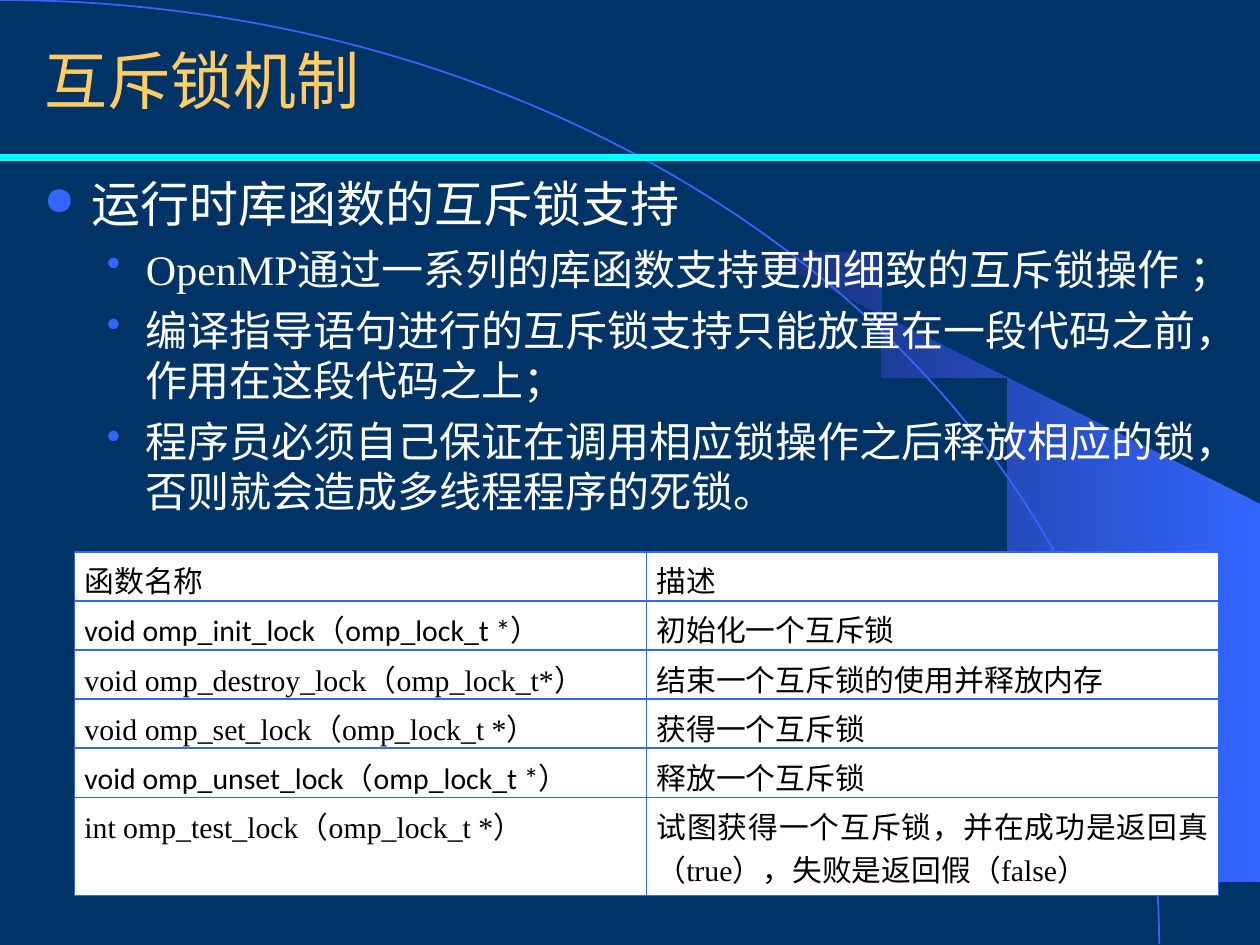
from dataclasses import dataclass
from math import acos, cos, sin

from lxml import etree
from pptx import Presentation
from pptx.dml.color import RGBColor
from pptx.enum.lang import MSO_LANGUAGE_ID
from pptx.enum.shapes import MSO_CONNECTOR, MSO_SHAPE
from pptx.enum.text import MSO_ANCHOR, PP_ALIGN
from pptx.oxml.ns import qn
from pptx.util import Inches, Pt

CHINESE = MSO_LANGUAGE_ID.SIMPLIFIED_CHINESE
STRAIGHT = MSO_CONNECTOR.STRAIGHT
ARC = MSO_SHAPE.ARC
MIDDLE, LEFT, JUSTIFY = MSO_ANCHOR.MIDDLE, PP_ALIGN.LEFT, PP_ALIGN.JUSTIFY

WIDTH, HEIGHT = 10, 7.5
ARC_WIDTH, ARC_HEIGHT = 9.2, 7.49
RIBBON_START, RIBBON_RIGHT, RIBBON_TOP = 5.89, 9.99, 4.23
RIBBON_STEPS = 24
ROW, COLUMN = 0.39, 4.54
COLORS = {"background": "003366", "blue": "3366FF", "deep": "172F75",
          "cyan": "00FFFF", "gold": "FFCC66", "white": "FFFFFF", "black": "000000"}
SERIF, SANS = "Times New Roman", "Calibri"


@dataclass
class Level:
    size: int
    indent: float
    hanging: float
    before: int
    bullet: str
    bullet_percent: int


@dataclass
class Function:
    result: str
    name: str
    argument: str
    description: str
    font: str = SERIF


TOPIC = Level(28, 0.38, 0.38, 7, "●", 80)
DETAIL = Level(24, 0.81, 0.31, 6, "•", 95)
POINTS = [
    (TOPIC, "运行时库函数的互斥锁支持"),
    (DETAIL, "OpenMP通过一系列的库函数支持更加细致的互斥锁操作 ；"),
    (DETAIL, "编译指导语句进行的互斥锁支持只能放置在一段代码之前，作用在这段代码之上；"),
    (DETAIL, "程序员必须自己保证在调用相应锁操作之后释放相应的锁，否则就会造成多线程程序的死锁。"),
]
HEADINGS = ("函数名称", "描述")
FUNCTIONS = [
    Function("void", "omp_init_lock", "omp_lock_t *", "初始化一个互斥锁", SANS),
    Function("void", "omp_destroy_lock", "omp_lock_t*", "结束一个互斥锁的使用并释放内存"),
    Function("void", "omp_set_lock", "omp_lock_t *", "获得一个互斥锁"),
    Function("void", "omp_unset_lock", "omp_lock_t *", "释放一个互斥锁", SANS),
    Function("int", "omp_test_lock", "omp_lock_t *",
             "试图获得一个互斥锁，并在成功是返回真（true），失败是返回假（false）"),
]


def color(name: str) -> RGBColor:
    return RGBColor.from_string(COLORS[name])


def add_span(para, text: str, size: int, font: str, color_name: str) -> None:
    span = para.add_run()
    span.text = text
    formats = {"size": Pt(size), "name": font, "language_id": CHINESE}
    for key, value in formats.items():
        setattr(span.font, key, value)
    span.font.color.rgb = color(color_name)


def add_ribbon(page) -> None:
    """Gradient band whose left edge follows the large arc."""
    start = acos(RIBBON_START / ARC_WIDTH)
    angles = [start * (1 - step / RIBBON_STEPS) for step in range(RIBBON_STEPS + 1)]
    edge = [(ARC_WIDTH * cos(a), ARC_HEIGHT * (1 - sin(a))) for a in angles]
    outline = page.shapes.build_freeform(*edge[0], scale=Inches(1))
    outline.add_line_segments(
        edge[1:] + [(RIBBON_RIGHT, ARC_HEIGHT), (RIBBON_RIGHT, RIBBON_TOP)])
    ribbon = outline.convert_to_shape()
    ribbon.shadow.inherit = False
    ribbon.line.fill.background()
    ribbon.fill.gradient()
    ribbon.fill.gradient_angle = 180
    for stop, name in zip(ribbon.fill.gradient_stops, ("blue", "deep")):
        stop.color.rgb = color(name)


def add_arc(page) -> None:
    arc = page.shapes.add_shape(ARC, Inches(-ARC_WIDTH), 0,
                                Inches(2 * ARC_WIDTH), Inches(2 * ARC_HEIGHT))
    arc.shadow.inherit = False
    arc.fill.background()
    arc.line.color.rgb = color("blue")
    arc.line.width = Pt(1)


def add_rule(page) -> None:
    rule = page.shapes.add_connector(STRAIGHT, 0, Inches(1.25), Inches(WIDTH), Inches(1.25))
    rule.line.color.rgb = color("cyan")
    rule.line.width = Pt(4.5)
    etree.SubElement(rule.element.spPr, qn("a:effectLst"))


def format_title(page) -> None:
    title = page.shapes.title
    title.element.getparent().append(title.element)  # in front of the decoration
    box = {"left": 0.25, "top": 0.17, "width": 8.5, "height": 0.92}
    for key, value in box.items():
        setattr(title, key, Inches(value))
    title.text_frame.vertical_anchor = MIDDLE
    para = title.text_frame.paragraphs[0]
    para.alignment = LEFT
    add_span(para, "互斥锁机制", 36, "Arial", "gold")


def add_bullet(para, level: Level) -> None:
    properties = para._p.get_or_add_pPr()
    properties.set("marL", str(Inches(level.indent)))
    properties.set("indent", str(-Inches(level.hanging)))
    tint = etree.SubElement(properties, qn("a:buClr"))
    etree.SubElement(tint, qn("a:srgbClr"), val=COLORS["blue"])
    etree.SubElement(properties, qn("a:buSzPct"), val=str(level.bullet_percent * 1000))
    etree.SubElement(properties, qn("a:buChar"), char=level.bullet)


def add_points(page) -> None:
    box = page.shapes.add_textbox(Inches(0.25), Inches(1.33), Inches(9.75), Inches(5.75))
    frame = box.text_frame
    frame.word_wrap = True
    for index, (level, text) in enumerate(POINTS):
        para = frame.add_paragraph() if index else frame.paragraphs[0]
        add_bullet(para, level)
        if index:
            para.space_before = Pt(level.before)
        add_span(para, text, level.size, SERIF, "white")


def format_cell(cell, spans: list[tuple[str, str]], bottom: float) -> None:
    para = cell.text_frame.paragraphs[0]
    para.alignment = JUSTIFY
    for text, font in spans:
        add_span(para, text, 17, font, "black")
    cell.margin_left = cell.margin_right = Inches(0.08)
    properties = cell._tc.get_or_add_tcPr()
    for side, width in {"L": 1.08, "R": 1.08, "T": 1.08, "B": bottom}.items():
        border = etree.SubElement(properties, qn(f"a:ln{side}"), w=str(Pt(width)))
        paint = etree.SubElement(border, qn("a:solidFill"))
        etree.SubElement(paint, qn("a:srgbClr"), val=COLORS["blue"])
    cell.fill.solid()
    cell.fill.fore_color.rgb = color("white")


def add_function_table(page) -> None:
    rows = [[[(text, SERIF)] for text in HEADINGS]]
    for item in FUNCTIONS:
        signature = [(f"{item.result} {item.name}", item.font), ("（", SERIF),
                     (item.argument, item.font), ("）", SERIF)]
        rows.append([signature, [(item.description, SERIF)]])
    last = len(rows) - 1
    table = page.shapes.add_table(len(rows), 2, Inches(0.59), Inches(4.38),
                                  Inches(2 * COLUMN), Inches((last + 2) * ROW)).table
    for index, row in enumerate(rows):
        table.rows[index].height = Inches(ROW * (2 if index == last else 1))
        for column, spans in enumerate(row):
            format_cell(table.cell(index, column), spans, 0.45 if index == last else 1.08)


def main() -> None:
    deck = Presentation()
    deck.slide_width, deck.slide_height = Inches(WIDTH), Inches(HEIGHT)
    page = deck.slides.add_slide(deck.slide_layouts[5])
    page.background.fill.solid()
    page.background.fill.fore_color.rgb = color("background")
    add_ribbon(page)
    add_arc(page)
    add_rule(page)
    format_title(page)
    add_points(page)
    add_function_table(page)
    deck.save("out.pptx")


if __name__ == "__main__":
    main()
